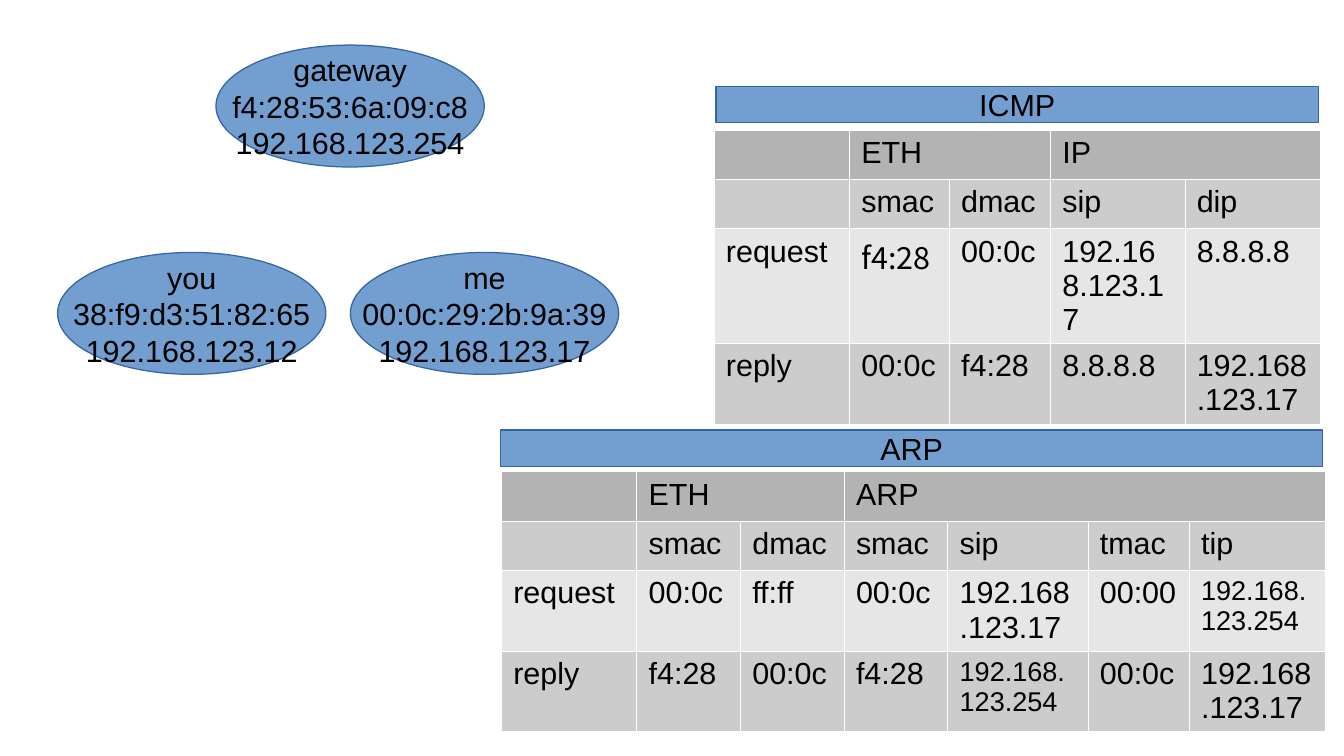
from lxml.etree import SubElement
from pptx import Presentation
from pptx.dml.color import RGBColor
from pptx.enum.shapes import MSO_SHAPE
from pptx.enum.text import MSO_ANCHOR, PP_ALIGN
from pptx.oxml.ns import qn
from pptx.util import Cm, Pt

COLORS = {
    "text": "000000", "node": "729FCF", "outline": "3465A4", "grid": "FFFFFF",
    "header": "B3B3B3", "dark": "CCCCCC", "light": "E6E6E6",
}
ROW_FILLS = ["header", "dark", "light", "dark"]
ROW_HEIGHTS = [0.97, 0.97, 1.68, 1.68]
CAPTION_HEIGHT = 0.76
LONG_ADDRESS = "192.168.123.254"


def color(name):
    return RGBColor.from_string(COLORS[name])


def write(frame, text, size=18, font="Arial", align=PP_ALIGN.LEFT, anchor=MSO_ANCHOR.TOP, wrap=True):
    frame.word_wrap = wrap
    frame.vertical_anchor = anchor
    frame.margin_left = frame.margin_right = Cm(0.25)
    frame.margin_top = frame.margin_bottom = Cm(0.13)
    frame.text = text
    for paragraph in frame.paragraphs:
        paragraph.alignment = align
        paragraph.font.size = Pt(size)
        for run in paragraph.runs:
            run.font.name = font
            run.font.size = Pt(size)
            run.font.color.rgb = color("text")


def labelled_shape(slide, kind, box, text):
    shape = slide.shapes.add_shape(kind, *map(Cm, box))
    shape.shadow.inherit = False
    shape.fill.solid()
    shape.fill.fore_color.rgb = color("node")
    shape.line.color.rgb = color("outline")
    shape.line.width = Pt(0.75)
    write(shape.text_frame, text, align=PP_ALIGN.CENTER, anchor=MSO_ANCHOR.MIDDLE, wrap=False)


def style_cell(cell, fill):
    properties = cell._tc.get_or_add_tcPr()
    for side in ("lnL", "lnR", "lnT", "lnB"):
        border = SubElement(properties, qn(f"a:{side}"), w=str(Pt(0.06)))
        solid = SubElement(border, qn("a:solidFill"))
        SubElement(solid, qn("a:srgbClr"), val=COLORS["grid"])
    cell.fill.solid()
    cell.fill.fore_color.rgb = color(fill)


def packet_table(slide, left, top, widths, rows, groups, formats):
    box = (left, top, sum(widths), sum(ROW_HEIGHTS))
    table = slide.shapes.add_table(len(rows), len(widths), *map(Cm, box)).table
    table.first_row = table.horz_banding = False
    for column, width in zip(table.columns, widths):
        column.width = Cm(width)
    for r, values in enumerate(rows):
        table.rows[r].height = Cm(ROW_HEIGHTS[r])
        for c, value in enumerate(values):
            cell = table.cell(r, c)
            style_cell(cell, ROW_FILLS[r])
            write(cell.text_frame, value, **formats.get((r, c), {}))
    for first, last in groups:
        table.cell(0, first).merge(table.cell(0, last))


def protocol(slide, caption, caption_box, table_left, table_top, **table_parts):
    packet_table(slide, table_left, table_top, **table_parts)
    labelled_shape(slide, MSO_SHAPE.RECTANGLE, (*caption_box, CAPTION_HEIGHT), caption)


def network(slide, left, top):
    width, height = 5.59, 2.54
    hosts = [
        (3.3, 0, "gateway\nf4:28:53:6a:09:c8\n192.168.123.254"),
        (0, 4.32, "you\n38:f9:d3:51:82:65\n192.168.123.12"),
        (6.1, 4.32, "me\n00:0c:29:2b:9a:39\n192.168.123.17"),
    ]
    for x, y, label in hosts:
        labelled_shape(slide, MSO_SHAPE.OVAL, (left + x, top + y, width, height), label)


deck = Presentation()
deck.slide_width, deck.slide_height = Cm(28), Cm(15.75)
slide = deck.slides.add_slide(deck.slide_layouts[6])

protocol(
    slide, "ICMP", (14.92, 1.8, 12.55), 14.87, 2.7,
    widths=[2.82, 2.08, 2.11, 2.8, 2.82],
    rows=[
        ["", "ETH", "", "IP", ""],
        ["", "smac", "dmac", "sip", "dip"],
        ["request", "f4:28", "00:0c", "192.168.123.17", "8.8.8.8"],
        ["reply", "00:0c", "f4:28", "8.8.8.8", "192.168.123.17"],
    ],
    groups=[(1, 2), (3, 4)],
    formats={(2, 1): {"font": "Noto Sans CJK JP"}},
)
protocol(
    slide, "ARP", (10.43, 8.96, 17.13), 10.44, 9.82,
    widths=[2.82, 2.16, 2.16, 2.16, 2.92, 2.11, 2.84],
    rows=[
        ["", "ETH", "", "ARP", "", "", ""],
        ["", "smac", "dmac", "smac", "sip", "tmac", "tip"],
        ["request", "00:0c", "ff:ff", "00:0c", "192.168.123.17", "00:00", LONG_ADDRESS],
        ["reply", "f4:28", "00:0c", "f4:28", LONG_ADDRESS, "00:0c", "192.168.123.17"],
    ],
    groups=[(1, 2), (3, 6)],
    formats={(2, 6): {"size": 16}, (3, 4): {"size": 16}},
)
network(slide, 1.2, 0.94)

deck.save("out.pptx")
